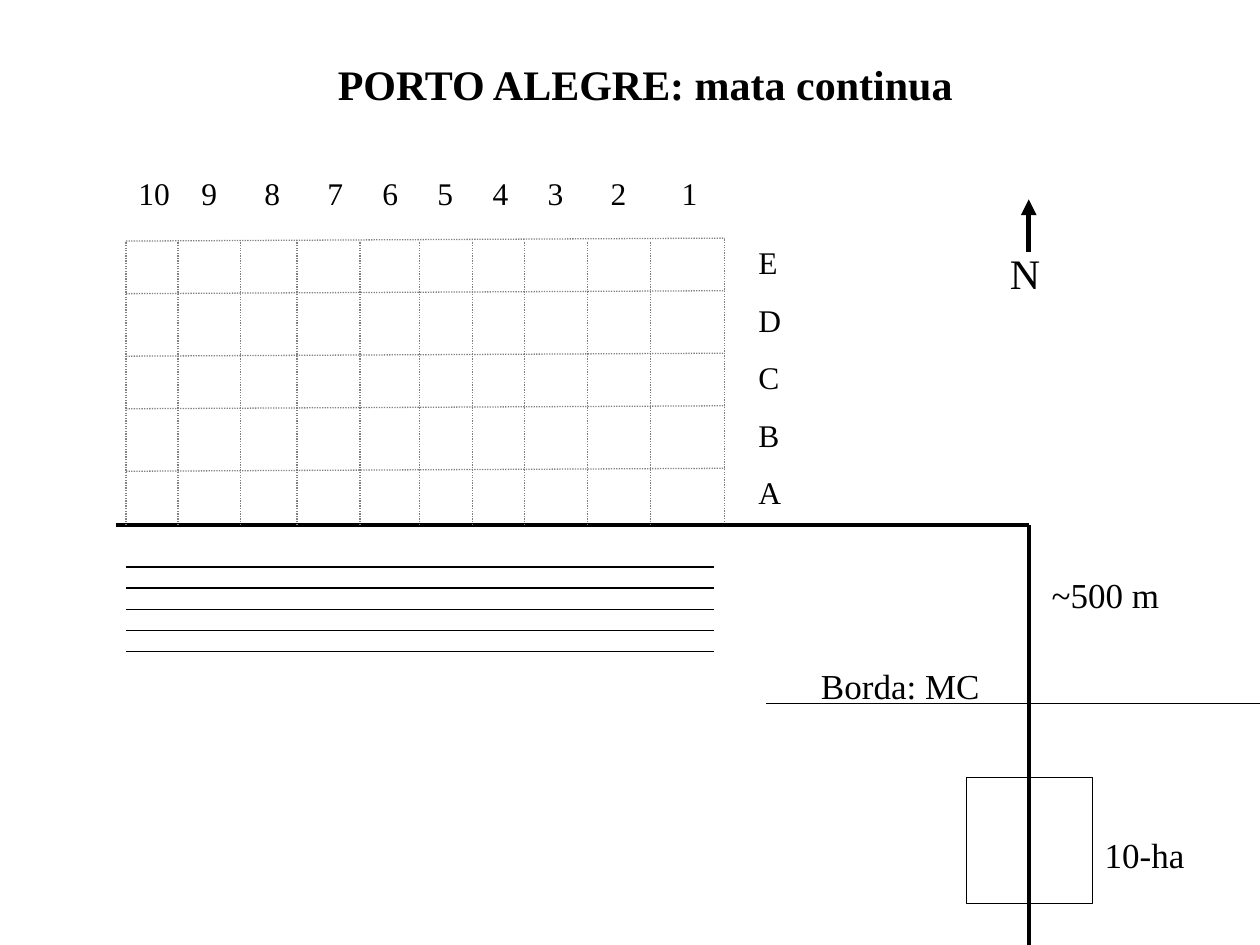
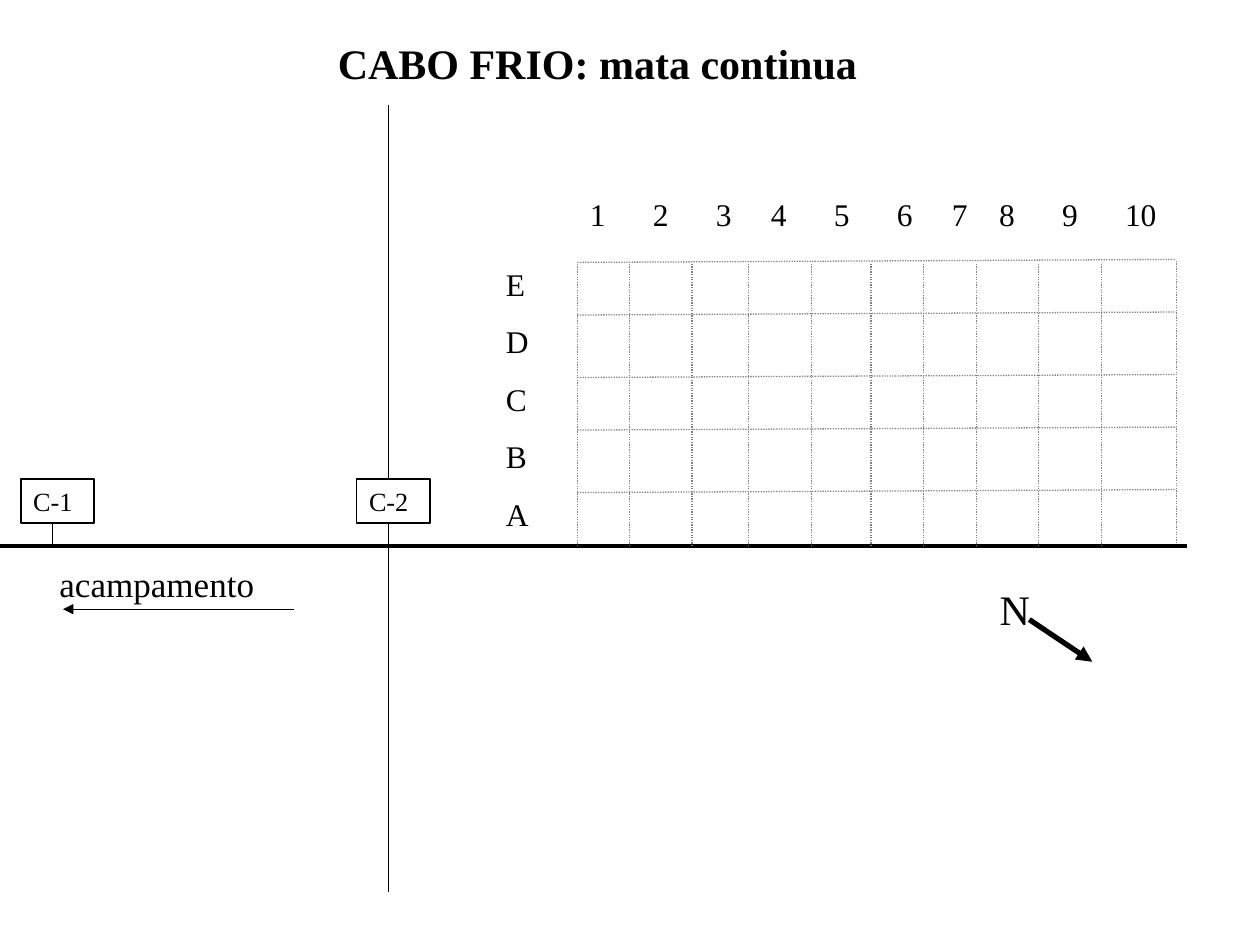
from collections import namedtuple
from dataclasses import dataclass
from itertools import accumulate

from pptx import Presentation
from pptx.dml.color import RGBColor
from pptx.enum.dml import MSO_LINE
from pptx.enum.shapes import MSO_CONNECTOR, MSO_SHAPE
from pptx.enum.text import MSO_ANCHOR, MSO_AUTO_SIZE, PP_ALIGN
from pptx.oxml.ns import qn
from pptx.util import Cm, Pt

STRAIGHT = MSO_CONNECTOR.STRAIGHT
RECTANGLE = MSO_SHAPE.RECTANGLE
DOTTED = MSO_LINE.ROUND_DOT
LEFT = PP_ALIGN.LEFT
TOP = MSO_ANCHOR.TOP
FIT_SHAPE = MSO_AUTO_SIZE.SHAPE_TO_FIT_TEXT


@dataclass(frozen=True)
class Theme:
    font: str = "Times New Roman"
    ink: RGBColor = RGBColor(0x00, 0x00, 0x00)
    paper: RGBColor = RGBColor(0xFF, 0xFF, 0xFF)
    grid: RGBColor = RGBColor(0x80, 0x80, 0x80)
    title: int = 24
    place: int = 20
    label: int = 18
    camp: int = 15
    thin: float = 0.75
    frame: float = 1
    trail: float = 2.25
    arrow: float = 3
    space_ratio: float = 0.625  # space before a paragraph, per point of type


THEME = Theme()
Box = namedtuple("Box", "left top width height")  # all in centimetres

# Plot grid, measured from its top left corner
COLUMN_LINES = [0, 1.05, 2.31, 3.45, 4.72, 5.92, 6.98, 8.04, 9.3, 10.57]
ROW_LINES = [0, 1.06, 2.32, 3.38, 4.64]
GRID_WIDTH, GRID_HEIGHT = 12.07, 5.72
GRID_TILT = 0.06  # rise of the row lines towards the right
ROW_NAMES = "EDCBA"


# ---- Shared helpers ----
def write(shape, text, size=THEME.place, bold=False, tabs=()):
    """Fill a shape with one paragraph for each line of text."""
    frame = shape.text_frame
    frame.word_wrap = True
    frame.auto_size = FIT_SHAPE
    frame.vertical_anchor = TOP
    for index, line in enumerate(text.split("\n")):
        para = frame.add_paragraph() if index else frame.paragraphs[0]
        para.alignment = LEFT
        para.space_before = Pt(size * THEME.space_ratio)
        span = para.add_run()
        span.text = line
        span.font.name = THEME.font
        span.font.size = Pt(size)
        span.font.bold = bold
        span.font.color.rgb = THEME.ink
        if tabs:
            properties = para._p.get_or_add_pPr()
            stops = properties.makeelement(qn("a:tabLst"), {})
            properties.append(stops)
            for stop in tabs:
                position = {"pos": str(Cm(stop)), "algn": "l"}
                stops.append(stops.makeelement(qn("a:tab"), position))


def add_text(page, box, text, **style):
    write(page.shapes.add_textbox(*map(Cm, box)), text, **style)


def add_line(page, start, end, color=THEME.ink, width=THEME.thin,
             dash=None, arrow=False):
    line = page.shapes.add_connector(STRAIGHT, *map(Cm, (*start, *end)))
    line.line.color.rgb = color
    line.line.width = Pt(width)
    if dash:
        line.line.dash_style = dash
    properties = line._element.spPr
    if arrow:
        outline = properties.find(qn("a:ln"))
        outline.append(outline.makeelement(qn("a:tailEnd"), {"type": "triangle"}))
    properties.append(properties.makeelement(qn("a:effectLst"), {}))


def add_rectangle(page, box, fill=None, width=THEME.thin):
    shape = page.shapes.add_shape(RECTANGLE, *map(Cm, box))
    shape.shadow.inherit = False
    if fill is None:
        shape.fill.background()
    else:
        shape.fill.solid()
        shape.fill.fore_color.rgb = fill
    shape.line.color.rgb = THEME.ink
    shape.line.width = Pt(width)
    return shape


# ---- Regions ----
def add_title(page, box, text):
    add_text(page, box, text, size=THEME.title, bold=True)


def add_plot_grid(page, box, column_names, column_steps, row_names_offset):
    """Draw the dotted grid with its row and column names."""
    left, top, width, height = box
    right, bottom = left + width, top + height
    dotted = dict(color=THEME.grid, dash=DOTTED)

    # Row and column names
    add_text(page, Box(left + row_names_offset, top - 0.08, 1.48, 5.66),
             "\n".join(ROW_NAMES), size=THEME.label)
    add_text(page, Box(left, top - 1.48, 13.7, 1.02), "\t".join(column_names),
             size=THEME.label, tabs=list(accumulate(column_steps)))

    # Dotted lines; the right edge follows the tilt of the rows
    for row in ROW_LINES:
        add_line(page, (left, top + row), (right, top + row - GRID_TILT), **dotted)
    for column in COLUMN_LINES:
        add_line(page, (left + column, bottom), (left + column, top), **dotted)
    add_line(page, (right, bottom - GRID_TILT), (right, top - GRID_TILT), **dotted)


def add_north(page, box, start, end):
    """Write N and draw its arrow, with ends measured from the box corner."""
    add_text(page, box, "N", size=THEME.title)
    ends = [(box.left + x, box.top + y) for x, y in (start, end)]
    add_line(page, *ends, width=THEME.arrow, arrow=True)


def add_parallel_lines(page, box, count):
    gap = box.height / (count - 1)
    for index in range(count):
        y = box.top + index * gap
        add_line(page, (box.left, y), (box.left + box.width, y))


def add_forest_edge(page, box):
    """Draw the edge line, the 10-ha plot below it and their names."""
    left, top, width, height = box
    add_line(page, (left, top), (left + width, top))
    add_text(page, Box(left + 0.85, top - 0.9, 4, 1.12), "Borda: MC")
    add_rectangle(page, Box(left + 4.03, top + 1.49, 2.54, 2.54))
    add_text(page, Box(left + 6.57, top + 2.5, 3.3, 1.12), "10-ha")
    add_text(page, Box(left + 5.5, top - 2.75, 4, 1.12), "~500 m")


def add_camp(page, box, name, trail_y):
    """Draw a camp's label and the short path down to the trail."""
    path_x = box.left + 0.64
    add_line(page, (path_x, box.top + 0.71), (path_x, trail_y))
    label = add_rectangle(page, box, fill=THEME.paper, width=THEME.frame)
    write(label, name, size=THEME.camp)


# ---- Slides ----
def build_porto_alegre(page):
    trail_y, corner_x = 10.58, 20.74
    add_line(page, (2.33, trail_y), (corner_x, trail_y), width=THEME.trail)
    add_north(page, Box(20.11, 4.87, 1.48, 1.27), (0.63, 0.21), (0.63, -0.85))
    add_title(page, Box(6.56, 1.06, 14.4, 1.27), "PORTO ALEGRE: mata continua")
    add_plot_grid(page, Box(2.54, 4.86, GRID_WIDTH, GRID_HEIGHT),
                  [str(number) for number in range(10, 0, -1)],
                  [1.27, 1.27, 1.27, 1.11, 1.11, 1.11, 1.11, 1.27, 1.43], 12.5)
    add_line(page, (corner_x, trail_y), (corner_x, 19.05), width=THEME.trail)
    add_forest_edge(page, Box(15.45, 14.18, 9.95, 4.87))
    add_parallel_lines(page, Box(2.54, 11.43, 11.85, 1.7), 5)


def build_cabo_frio(page):
    trail_y, crossing_x = 11.01, 7.83
    add_line(page, (0, trail_y), (23.92, trail_y), width=THEME.trail)
    add_north(page, Box(19.9, 11.64, 1.48, 1.27), (0.85, 0.85), (2.12, 1.7))
    add_title(page, Box(6.56, 0.64, 11.22, 1.27), "CABO FRIO: mata continua")
    add_plot_grid(page, Box(11.64, 5.29, GRID_WIDTH, GRID_HEIGHT),
                  [str(number) for number in range(1, 11)],
                  [1.27, 1.27, 1.11, 1.27, 1.27, 1.11, 0.95, 1.27, 1.27], -1.69)

    # Way to the camp, crossing line and the two camps
    add_text(page, Box(0.95, 11.22, 6.03, 1.12), "acampamento")
    add_line(page, (5.93, 12.28), (1.27, 12.28), arrow=True)
    add_line(page, (crossing_x, 2.12), (crossing_x, 17.99))
    for name, left in (("C-2", 7.19), ("C-1", 0.42)):
        add_camp(page, Box(left, 9.65, 1.48, 0.9), name, trail_y)


def main():
    deck = Presentation()
    deck.slide_width, deck.slide_height = Cm(25.4), Cm(19.05)
    blank = deck.slide_layouts[6]
    for build in (build_porto_alegre, build_cabo_frio):
        build(deck.slides.add_slide(blank))
    deck.save("out.pptx")


if __name__ == "__main__":
    main()
